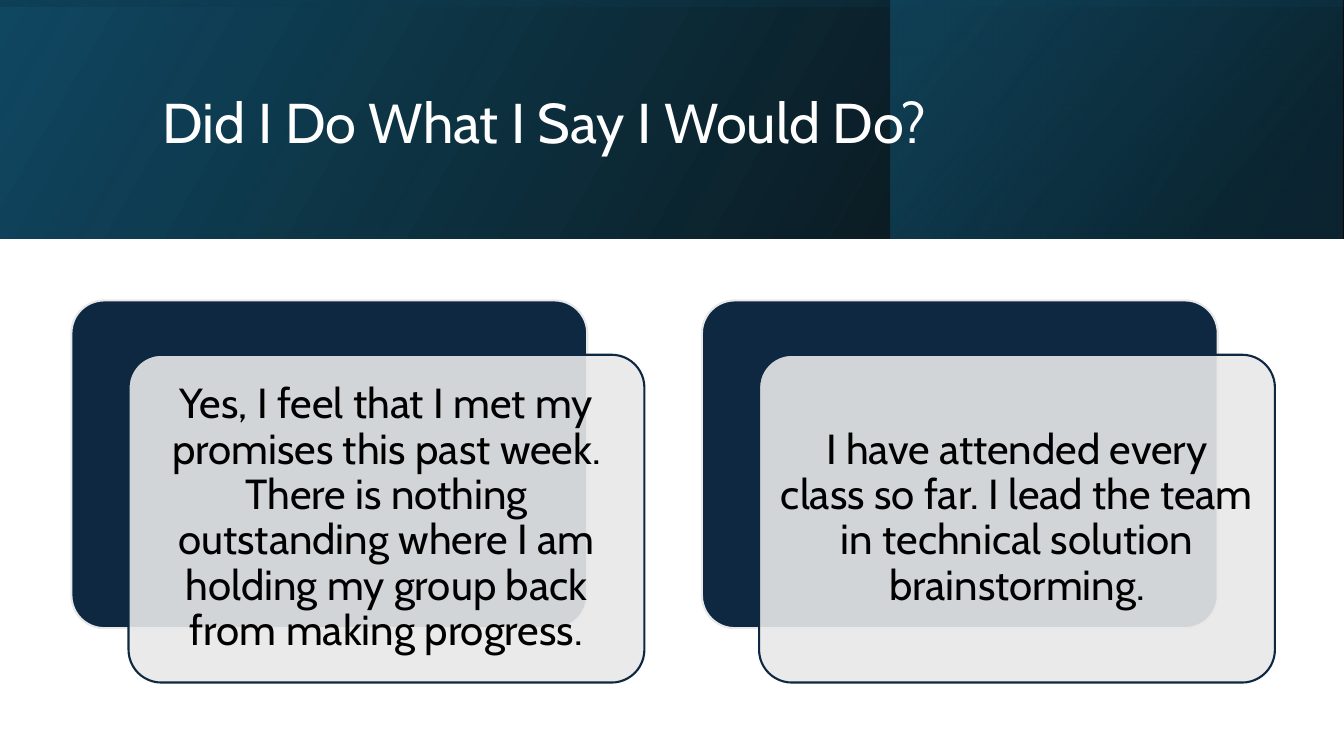
"""Build a slide with a gradient title banner and two layered answer cards."""
from dataclasses import dataclass
from typing import Any

from lxml.etree import SubElement
from pptx import Presentation
from pptx.dml.color import RGBColor
from pptx.enum.shapes import MSO_SHAPE
from pptx.enum.text import MSO_ANCHOR, MSO_AUTO_SIZE, PP_ALIGN
from pptx.oxml.ns import qn
from pptx.util import Cm, Pt

WHITE = RGBColor(0xFF, 0xFF, 0xFF)
BLACK = RGBColor(0x00, 0x00, 0x00)
NAVY = RGBColor(0x0E, 0x28, 0x41)
PALE = RGBColor(0xE8, 0xE8, 0xE8)
TEAL = RGBColor(0x10, 0x48, 0x62)
DEEP_TEAL = RGBColor(0x0B, 0x30, 0x41)
BRIGHT_TEAL = RGBColor(0x15, 0x60, 0x82)

PAGE_WIDTH, PAGE_HEIGHT = 33.87, 19.05
BANNER_HEIGHT = 6.02
TURNED_OFFSET = (PAGE_WIDTH - BANNER_HEIGHT) / 2
CARD_LEFT, CARD_TOP, CARD_WIDTH, CARD_HEIGHT = 1.8, 7.57, 13, 8.26
CARD_PITCH = 15.89
FRONT_SHIFT_X, FRONT_SHIFT_Y = 1.44, 1.37


@dataclass
class Box:
    left: float
    top: float
    width: float
    height: float


@dataclass
class Stop:
    position: float
    color: RGBColor
    opacity: int


@dataclass
class Band:
    box: Box
    angle: int
    stops: tuple[Stop, Stop]
    rotation: int = 0


BANDS = (
    Band(Box(0, 0, PAGE_WIDTH, BANNER_HEIGHT), 30,
         (Stop(0, BLACK, 96), Stop(1, TEAL, 100))),
    Band(Box(22.45, 0, 11.38, BANNER_HEIGHT), 40,
         (Stop(0.19, DEEP_TEAL, 68), Stop(1, BRIGHT_TEAL, 48))),
    Band(Box(TURNED_OFFSET, -TURNED_OFFSET, BANNER_HEIGHT, PAGE_WIDTH), 10,
         (Stop(0.23, TEAL, 16), Stop(0.99, BLACK, 45)), 270),
)
ANSWERS = (
    "Yes, I feel that I met my promises this past week. There is nothing "
    "outstanding where I am holding my group back from making progress.",
    "I have attended every class so far. I lead the team in technical "
    "solution brainstorming.",
)


def apply_format(target: Any, values: dict[str, Any]) -> None:
    """Set every named attribute on the target."""
    for name, value in values.items():
        setattr(target, name, value)


def set_opacity(parent: Any, percent: int) -> None:
    """Give the colour inside a fill or gradient stop its opacity."""
    color = next(parent.iter(qn("a:srgbClr")))
    SubElement(color, qn("a:alpha")).set("val", str(percent * 1000))


def place(shape: Any, box: Box) -> None:
    """Move and size a shape in centimetres."""
    apply_format(shape, {
        "left": Cm(box.left), "top": Cm(box.top),
        "width": Cm(box.width), "height": Cm(box.height),
    })


def add_plain_shape(page: Any, kind: MSO_SHAPE, box: Box) -> Any:
    """Add a shape without a shadow."""
    shape = page.shapes.add_shape(kind, 0, 0, 0, 0)
    place(shape, box)
    shape.shadow.inherit = False
    return shape


def add_band(page: Any, band: Band) -> None:
    """Draw one mirrored gradient band of the banner."""
    shape = add_plain_shape(page, MSO_SHAPE.RECTANGLE, band.box)
    shape.rotation = band.rotation
    shape._element.spPr.xfrm.set("flipH", "1")
    shape.line.fill.background()
    shape.fill.gradient()
    shape.fill.gradient_angle = band.angle
    elements = shape._element.spPr.iter(qn("a:gs"))
    for target, stop, element in zip(shape.fill.gradient_stops, band.stops, elements):
        target.position = stop.position
        target.color.rgb = stop.color
        set_opacity(element, stop.opacity)


def write_text(shape: Any, text: str, size: int, color: RGBColor,
               alignment: PP_ALIGN, margins: dict[str, Any]) -> None:
    """Write one formatted paragraph in a shape."""
    frame = shape.text_frame
    apply_format(frame, {
        "word_wrap": True, "auto_size": MSO_AUTO_SIZE.NONE,
        "vertical_anchor": MSO_ANCHOR.MIDDLE, **margins,
    })
    para = frame.paragraphs[0]
    apply_format(para, {"alignment": alignment, "line_spacing": 0.9})
    span = para.add_run()
    span.text = text
    apply_format(span.font, {"name": "Cabin", "size": Pt(size)})
    span.font.color.rgb = color


def add_panel(page: Any, box: Box, fill: RGBColor, line: RGBColor) -> Any:
    """Draw one rounded panel of a card."""
    panel = add_plain_shape(page, MSO_SHAPE.ROUNDED_RECTANGLE, box)
    panel.adjustments[0] = 0.1
    panel.fill.solid()
    panel.fill.fore_color.rgb = fill
    panel.line.color.rgb = line
    panel.line.width = Pt(1.5)
    return panel


def add_card(page: Any, left: float, text: str) -> None:
    """Draw a dark panel with a translucent answer panel over it."""
    add_panel(page, Box(left, CARD_TOP, CARD_WIDTH, CARD_HEIGHT), NAVY, PALE)
    front_box = Box(left + FRONT_SHIFT_X, CARD_TOP + FRONT_SHIFT_Y,
                    CARD_WIDTH, CARD_HEIGHT)
    front = add_panel(page, front_box, PALE, NAVY)
    set_opacity(front._element.spPr.find(qn("a:solidFill")), 90)
    margins = {f"margin_{side}": Cm(0.3) for side in ("left", "top", "right", "bottom")}
    write_text(front, text, 30, BLACK, PP_ALIGN.CENTER, margins)


def main() -> None:
    """Build and save the deck."""
    deck = Presentation()
    apply_format(deck, {"slide_width": Cm(PAGE_WIDTH), "slide_height": Cm(PAGE_HEIGHT)})
    page = deck.slides.add_slide(deck.slide_layouts[5])
    for band in BANDS:
        add_band(page, band)
    title = page.shapes.title
    place(title, Box(3.84, 0.97, 27, 4.37))
    write_text(title, "Did I Do What I Say I Would Do?", 40, WHITE, PP_ALIGN.LEFT, {})
    page.shapes._spTree.append(title._element)
    for index, answer in enumerate(ANSWERS):
        add_card(page, CARD_LEFT + index * CARD_PITCH, answer)
    deck.save("out.pptx")


if __name__ == "__main__":
    main()
